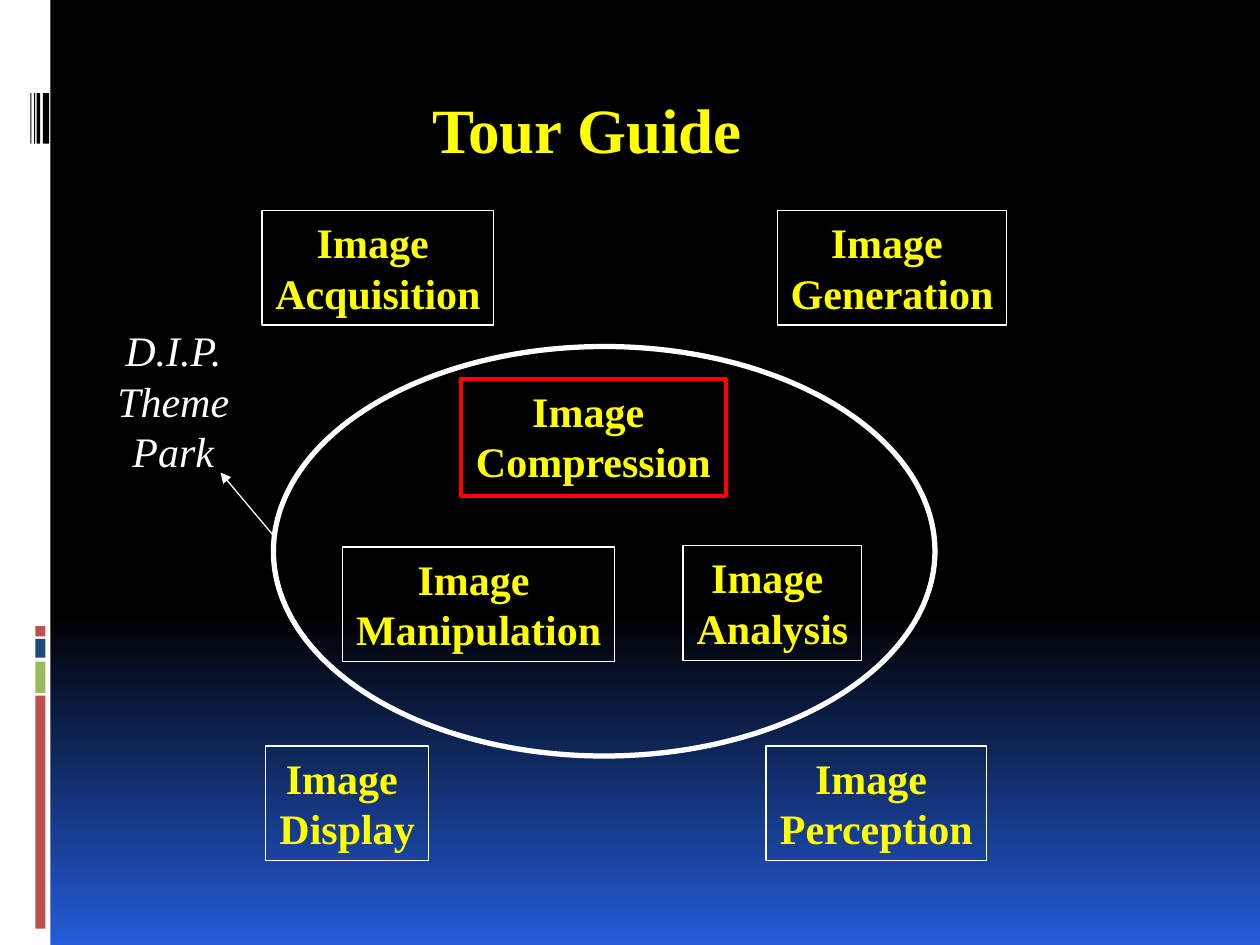
from copy import deepcopy

from lxml import etree
from pptx import Presentation
from pptx.dml.color import RGBColor
from pptx.enum.shapes import MSO_CONNECTOR, MSO_SHAPE
from pptx.enum.text import MSO_ANCHOR, MSO_AUTO_SIZE, PP_ALIGN
from pptx.oxml.ns import qn
from pptx.util import Inches, Pt

RECTANGLE, ELLIPSE = MSO_SHAPE.RECTANGLE, MSO_SHAPE.OVAL
LEFT, CENTER = PP_ALIGN.LEFT, PP_ALIGN.CENTER
TOP = MSO_ANCHOR.TOP
NO_AUTOFIT = MSO_AUTO_SIZE.NONE
STRAIGHT = MSO_CONNECTOR.STRAIGHT

FONT = "Times New Roman"
COLORS = {
    name: RGBColor.from_string(value)
    for name, value in {
        "black": "000000", "white": "FFFFFF", "yellow": "FFFF00", "red": "FF0000",
        "sky": "245CD9", "brick": "C0504D", "green": "9BBB59", "navy": "1F497D",
    }.items()
}


def add_figure(kind, left, top, width, height, fill=None, line=None, weight=0.75):
    """Add a preset shape; without a fill or line colour that part is left clear."""
    shape = slide.shapes.add_shape(
        kind, Inches(left), Inches(top), Inches(width), Inches(height))
    shape.shadow.inherit = False
    if fill:
        shape.fill.solid()
        shape.fill.fore_color.rgb = COLORS[fill]
    else:
        shape.fill.background()
    if line:
        shape.line.color.rgb = COLORS[line]
        shape.line.width = Pt(weight)
    else:
        shape.line.fill.background()
    return shape


def write_lines(shape, lines, size, color, alignment=CENTER, bold=False, italic=False):
    frame = shape.text_frame
    frame.word_wrap = False
    frame.auto_size = NO_AUTOFIT
    frame.vertical_anchor = TOP
    frame.text = "\n".join(lines)
    for paragraph in frame.paragraphs:
        paragraph.alignment = alignment
        font = paragraph.font
        font.name, font.size = FONT, Pt(size)
        font.bold, font.italic = bold, italic
        font.color.rgb = COLORS[color]


presentation = Presentation()
presentation.slide_width, presentation.slide_height = Inches(10), Inches(7.5)
slide = presentation.slides.add_slide(presentation.slide_layouts[5])

# Background: black for the upper 65 %, then fading to blue
background = slide.background.fill
background.gradient()
background.gradient_angle = 270
start, end = background.gradient_stops
start.color.rgb, start.position = COLORS["black"], 0
end.color.rgb, end.position = COLORS["sky"], 1
stop_list = slide.background._cSld.find(".//" + qn("a:gsLst"))
black_stop = deepcopy(stop_list[0])
black_stop.set("pos", "65000")
stop_list.insert(1, black_stop)

# Side strip with its colour blocks and barcode
add_figure(RECTANGLE, 0, 0, 0.4, 7.5, "white")
for top, height, color in [(5.52, 1.85, "brick"), (5.25, 0.25, "green"),
                           (5.07, 0.15, "navy"), (4.97, 0.08, "brick")]:
    add_figure(RECTANGLE, 0.28, top, 0.08, height, color)
for left, width in [(0.34, 0.05), (0.29, 0.03), (0.27, 0.01), (0.24, 0.01)]:
    add_figure(RECTANGLE, left, 0.74, width, 0.4, "black")

title = slide.shapes.title
title.left, title.top = Inches(3.33), Inches(0.67)
title.width, title.height = Inches(2.72), Inches(0.7)
write_lines(title, ["Tour Guide"], 36, "yellow", LEFT, bold=True)

# Theme park and the topics in and around it
add_figure(ELLIPSE, 2.17, 2.75, 5.25, 3.25, line="white", weight=3)
topics = [
    ("Compression", 3.66, 3.01, 2.1, 0.93, "red", 2.25),
    ("Manipulation", 2.72, 4.34, 2.16, 0.91, "white", 0.75),
    ("Analysis", 5.42, 4.33, 1.42, 0.91, "white", 0.75),
    ("Acquisition", 2.08, 1.67, 1.84, 0.91, "white", 0.75),
    ("Generation", 6.17, 1.67, 1.82, 0.91, "white", 0.75),
    ("Display", 2.11, 5.92, 1.29, 0.91, "white", 0.75),
    ("Perception", 6.08, 5.92, 1.75, 0.91, "white", 0.75),
]
for topic, left, top, width, height, line, weight in topics:
    box = add_figure(RECTANGLE, left, top, width, height, line=line, weight=weight)
    write_lines(box, ["Image ", topic], 24, "yellow", bold=True)

park_label = slide.shapes.add_textbox(
    Inches(0.83), Inches(2.53), Inches(1.09), Inches(1.3))
write_lines(park_label, ["D.I.P.", "Theme", "Park"], 24, "white", italic=True)

arrow = slide.shapes.add_connector(
    STRAIGHT, Inches(2.17), Inches(4.25), Inches(1.75), Inches(3.75))
arrow.line.color.rgb = COLORS["white"]
arrow.line.width = Pt(0.75)
etree.SubElement(arrow.line._get_or_add_ln(), qn("a:tailEnd"), type="triangle")
etree.SubElement(arrow._element.spPr, qn("a:effectLst"))

presentation.save("out.pptx")
